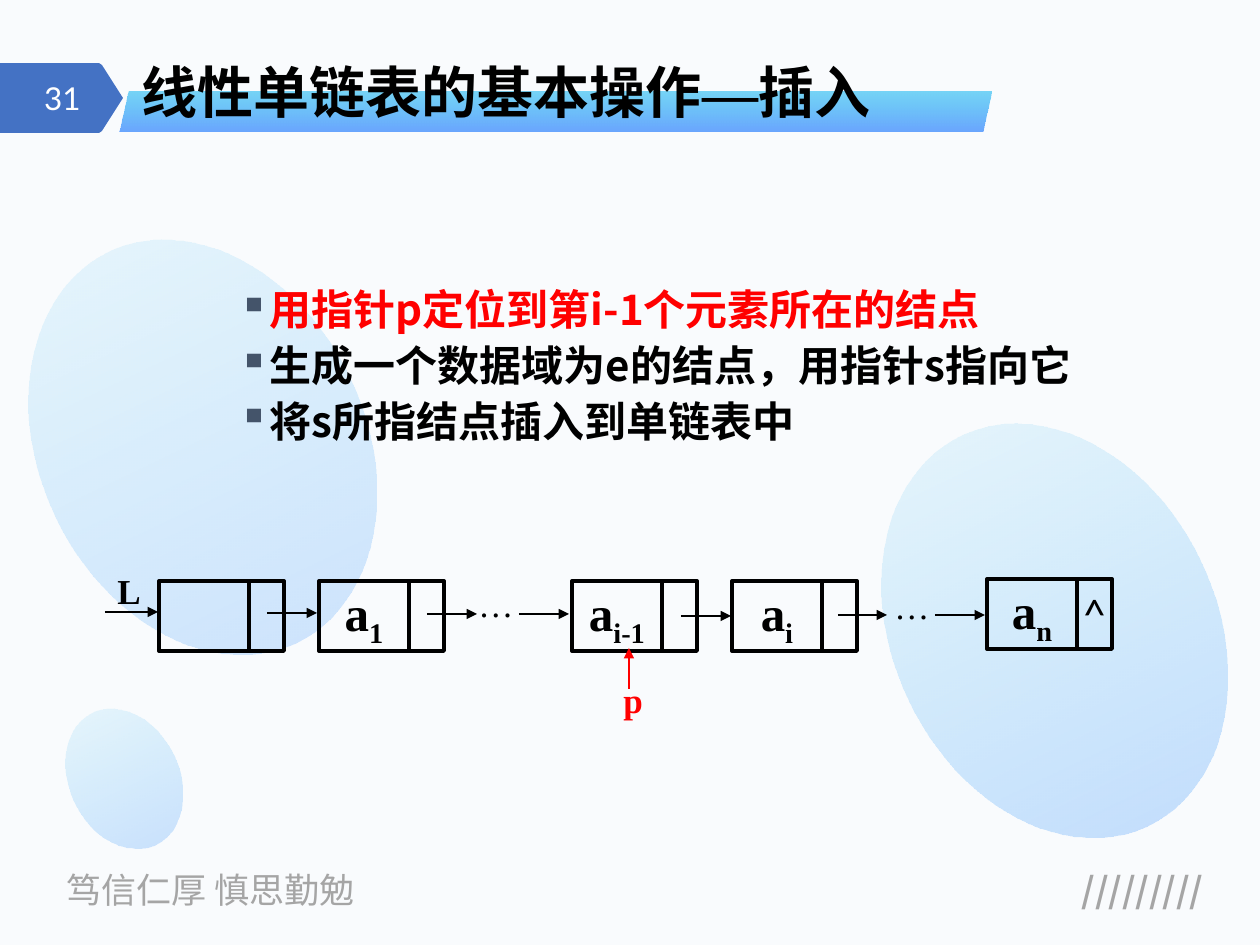
from lxml.etree import SubElement
from pptx import Presentation
from pptx.dml.color import RGBColor
from pptx.enum.shapes import MSO_CONNECTOR, MSO_SHAPE
from pptx.enum.text import MSO_ANCHOR, PP_ALIGN
from pptx.oxml.ns import qn
from pptx.util import Pt

SCALE = 914400 // 126
SANS, SERIF, LATO = "Noto Sans CJK SC", "Times New Roman", "Lato"
BLACK, RED, GREY, WHITE = "000000", "FF0000", "A5A5A5", "FFFFFF"
BLUE, CYAN = "3385FF", "00B0F0"
LEFT, CENTER, RIGHT = PP_ALIGN.LEFT, PP_ALIGN.CENTER, PP_ALIGN.RIGHT
TOP, MIDDLE, BOTTOM = MSO_ANCHOR.TOP, MSO_ANCHOR.MIDDLE, MSO_ANCHOR.BOTTOM

# box, (stop colour, opacity) pairs
BUBBLES = [
    ((69, 706, 110, 146), ((BLUE, 24), (CYAN, 8))),
    ((893, 415, 323, 431), ((BLUE, 27), (CYAN, 8))),
    ((40, 231, 325, 433), ((BLUE, 22), (CYAN, 8))),
]
TITLE_BAR = ((120, 92, 872, 40), ((CYAN, 52), (BLUE, 73)))
NUMBER_TAG = [(0, 63), (99, 63), (102, 65), (123, 98), (102, 131), (99, 133), (0, 133)]

MOTTO = [("笃信仁厚 慎思勤勉", SANS)]
SLASHES = [("/////////", SANS)]
NUMBER = [("31", LATO)]
TITLE = [("线性单链表的基本操作", SANS), ("—", SERIF), ("插入", SANS)]
STEPS = [
    ("用指针p定位到第i-1个元素所在的结点", RED),
    ("生成一个数据域为e的结点，用指针s指向它", BLACK),
    ("将s所指结点插入到单链表中", BLACK),
]

# left, top, subscript of the element, mark in the pointer field
NODES = [
    (159, 581, "", ""),
    (319, 581, "1", ""),
    (572, 581, "i-1", ""),
    (732, 581, "i", ""),
    (987, 579, "n", "^"),
]
DATA_W, POINTER_W, NODE_H = 90, 35, 70
LABELS = [
    ("L", (105, 563, 54, 54), BLACK, True),
    ("…", (466, 576, 95, 54), BLACK, False),
    ("…", (882, 578, 95, 54), BLACK, False),
    ("p", (611, 672, 53, 54), RED, True),
]
LINKS = [(105, 158, 612), (267, 317, 613), (427, 477, 614), (519, 569, 614),
         (681, 731, 616), (838, 887, 615), (935, 985, 615)]


def px(value):
    return value * SCALE


def colour(code):
    return RGBColor.from_string(code)


def set_all(target, values):
    for name, value in values.items():
        setattr(target, name, value)


def add_run(paragraph, text, face, size, ink, bold=False, base=0):
    run = paragraph.add_run()
    run.text = text
    set_all(run.font, {"size": Pt(size), "bold": bold, "name": face})
    run.font.color.rgb = colour(ink)
    properties = run.font._element
    SubElement(properties, qn("a:ea")).set("typeface", face)
    if base:
        properties.set("baseline", str(base))


def add_text(shapes, box, parts, size, ink, bold=False, align=LEFT, anchor=TOP, spacing=1.0):
    frame = shapes.add_textbox(*map(px, box)).text_frame
    set_all(frame, {"word_wrap": True, "vertical_anchor": anchor})
    paragraph = frame.paragraphs[0]
    set_all(paragraph, {"alignment": align, "line_spacing": spacing})
    for text, face in parts:
        add_run(paragraph, text, face, size, ink, bold)


def add_gradient(shapes, preset, box, stops, rotation=0):
    shape = shapes.add_shape(preset, *map(px, box))
    set_all(shape, {"rotation": rotation})
    shape.shadow.inherit = False
    shape.line.fill.background()
    shape.fill.gradient()
    shape.fill.gradient_angle = 270
    for stop, (code, opacity) in zip(shape.fill.gradient_stops, stops):
        stop.color.rgb = colour(code)
        tint = stop._gs.find(qn("a:srgbClr"))
        SubElement(tint, qn("a:alpha")).set("val", str(opacity * 1000))
    return shape


def add_number_tag(shapes):
    builder = shapes.build_freeform(*NUMBER_TAG[0], scale=SCALE)
    builder.add_line_segments(NUMBER_TAG[1:], close=True)
    tag = builder.convert_to_shape()
    tag.shadow.inherit = False
    tag.fill.solid()
    tag.fill.fore_color.rgb = colour("4472C4")
    tag.line.fill.background()


def add_steps(shapes):
    frame = shapes.add_textbox(*map(px, (163, 283, 1071, 567))).text_frame
    frame.word_wrap = True
    for index, (step, ink) in enumerate(STEPS):
        paragraph = frame.add_paragraph() if index else frame.paragraphs[0]
        set_all(paragraph, {"line_spacing": 0.9, "space_before": Pt(6 if index else 0)})
        properties = paragraph._p.get_or_add_pPr()
        properties.set("marL", str(Pt(54)))
        properties.set("indent", str(-Pt(18)))
        bullet_ink = SubElement(properties, qn("a:buClr"))
        SubElement(bullet_ink, qn("a:srgbClr")).set("val", "44546A")
        SubElement(properties, qn("a:buChar")).set("char", "▪")
        add_run(paragraph, step, SANS, 24, ink, True)


def add_cell(shapes, left, top, width):
    cell = shapes.add_shape(MSO_SHAPE.RECTANGLE, *map(px, (left, top, width, NODE_H)))
    cell.shadow.inherit = False
    cell.fill.background()
    cell.line.color.rgb = colour(BLACK)
    cell.line.width = Pt(2.25)
    set_all(cell.text_frame, {"word_wrap": False, "vertical_anchor": MIDDLE})
    paragraph = cell.text_frame.paragraphs[0]
    paragraph.alignment = CENTER
    return paragraph


def add_node(shapes, left, top, subscript, mark):
    element = add_cell(shapes, left, top, DATA_W)
    pointer = add_cell(shapes, left + DATA_W, top, POINTER_W)
    if subscript:
        add_run(element, "a", SERIF, 28, BLACK, True)
        add_run(element, subscript, SERIF, 28, BLACK, True, -25000)
    if mark:
        add_run(pointer, mark, LATO, 24, BLACK)


def add_arrow(shapes, start, end, ink, width):
    arrow = shapes.add_connector(MSO_CONNECTOR.STRAIGHT, *map(px, start + end))
    arrow.line.color.rgb = colour(ink)
    arrow.line.width = Pt(width)
    SubElement(arrow.line._get_or_add_ln(), qn("a:tailEnd")).set("type", "triangle")
    SubElement(arrow._element.spPr, qn("a:effectLst"))


def main():
    """Build the slide on inserting into a singly linked list."""
    deck = Presentation()
    set_all(deck, {"slide_width": px(1260), "slide_height": px(945)})
    slide = deck.slides.add_slide(deck.slide_layouts[6])
    slide.background.fill.solid()
    slide.background.fill.fore_color.rgb = colour("F9FBFD")
    shapes = slide.shapes

    add_text(shapes, (54, 862, 340, 55), MOTTO, 20, GREY)
    add_text(shapes, (966, 862, 250, 55), SLASHES, 20, GREY, True, RIGHT)
    for box, stops in BUBBLES:
        add_gradient(shapes, MSO_SHAPE.OVAL, box, stops, 154.4)
    add_number_tag(shapes)
    add_text(shapes, (13, 73, 80, 50), NUMBER, 18, WHITE, False, RIGHT, MIDDLE)
    title_bar = add_gradient(shapes, MSO_SHAPE.PARALLELOGRAM, *TITLE_BAR)
    title_bar.adjustments[0] = 0.23
    add_text(shapes, (129, 50, 863, 82), TITLE, 32, BLACK, True, LEFT, BOTTOM, 0.9)
    add_steps(shapes)

    for node in NODES:
        add_node(shapes, *node)
    for text, box, ink, bold in LABELS:
        add_text(shapes, box, [(text, SERIF)], 20, ink, bold)
    for start, end, level in LINKS:
        add_arrow(shapes, (start, level), (end, level), BLACK, 0.75)
    add_arrow(shapes, (629, 689), (629, 648), RED, 1)
    deck.save("out.pptx")


if __name__ == "__main__":
    main()
